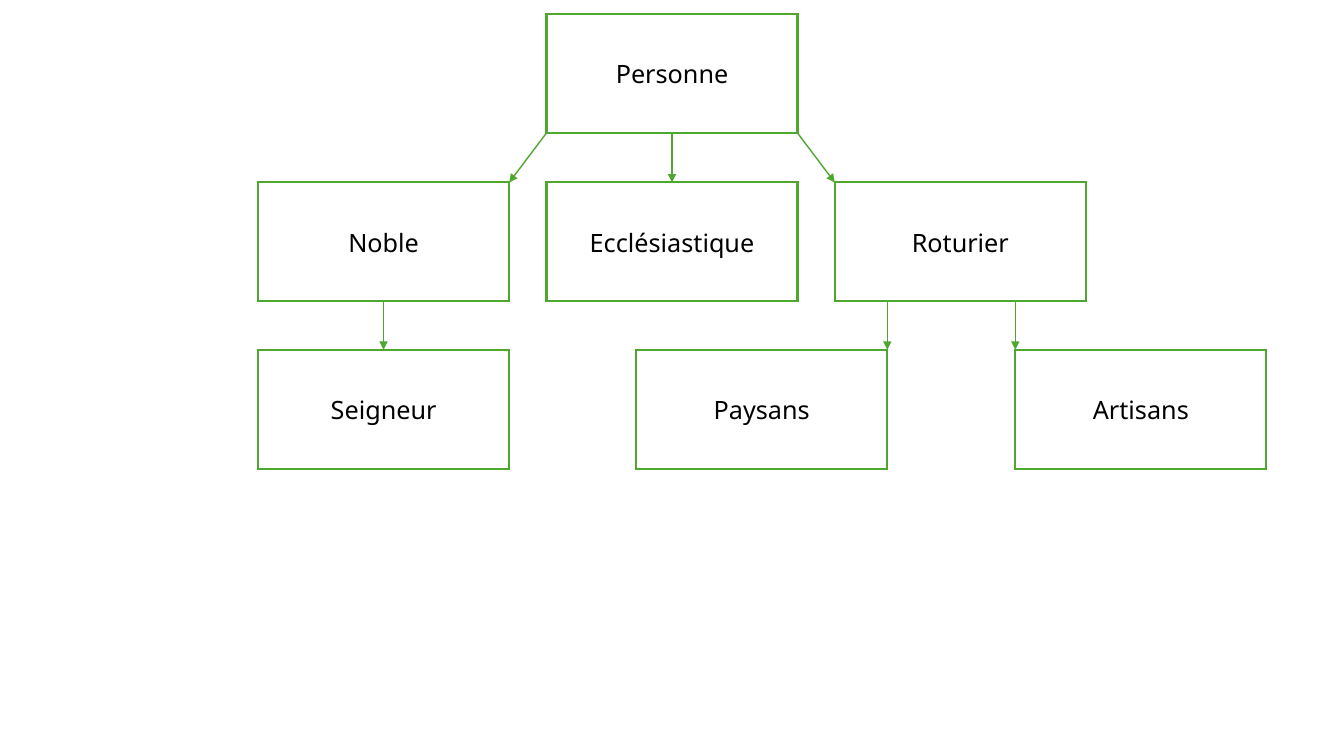
from dataclasses import dataclass

from lxml import etree
from pptx import Presentation
from pptx.dml.color import RGBColor
from pptx.enum.shapes import MSO_CONNECTOR, MSO_SHAPE
from pptx.enum.text import MSO_ANCHOR, PP_ALIGN
from pptx.oxml.ns import qn
from pptx.util import Inches, Pt

RECTANGLE = MSO_SHAPE.RECTANGLE
STRAIGHT = MSO_CONNECTOR.STRAIGHT
MIDDLE = MSO_ANCHOR.MIDDLE
CENTER = PP_ALIGN.CENTER
BLANK_LAYOUT = 6


@dataclass(frozen=True)
class Theme:
    font: str = "Noto Sans"
    text_size: float = 18
    text: RGBColor = RGBColor(0, 0, 0)
    paper: RGBColor = RGBColor(255, 255, 255)
    green: RGBColor = RGBColor(0x4E, 0xA7, 0x2E)
    border_width: float = 1.5
    arrow_width: float = 1


# Grid in inches: three rows, and columns given by their left edge
BOX_WIDTH, BOX_HEIGHT = 2.49, 1.18
ROW_TOPS = [0.14, 1.81, 3.47]
LEFT, CENTRE, RIGHT = [2.56 + column * 2.86 for column in range(3)]
PEASANT, ARTISAN = 6.31, 10.07

BOXES = [
    ("Personne", CENTRE, 0),
    ("Noble", LEFT, 1),
    ("Ecclésiastique", CENTRE, 1),
    ("Roturier", RIGHT, 1),
    ("Seigneur", LEFT, 2),
    ("Paysans", PEASANT, 2),
    ("Artisans", ARTISAN, 2),
]

# Arrows: row above, horizontal start, horizontal end
ARROWS = [
    (0, CENTRE, LEFT + BOX_WIDTH),
    (0, CENTRE + BOX_WIDTH / 2, CENTRE + BOX_WIDTH / 2),
    (0, CENTRE + BOX_WIDTH, RIGHT),
    (1, LEFT + BOX_WIDTH / 2, LEFT + BOX_WIDTH / 2),
    (1, PEASANT + BOX_WIDTH, PEASANT + BOX_WIDTH),
    (1, ARTISAN, ARTISAN),
]


class HierarchySlide:
    def __init__(self, slide, theme):
        self.slide = slide
        self.theme = theme

    def outline(self, shape, width):
        """Draw a green line with sharp corners and return its XML element."""
        shape.line.color.rgb = self.theme.green
        shape.line.width = Pt(width)
        line = shape._element.spPr.find(qn("a:ln"))
        etree.SubElement(line, qn("a:miter"), lim="800000")
        return line

    def box(self, label, left, row):
        theme = self.theme
        box = self.slide.shapes.add_shape(
            RECTANGLE, Inches(left), Inches(ROW_TOPS[row]),
            Inches(BOX_WIDTH), Inches(BOX_HEIGHT))
        box.shadow.inherit = False
        box.fill.solid()
        box.fill.fore_color.rgb = theme.paper
        self.outline(box, theme.border_width)
        box.text_frame.text = label
        box.text_frame.vertical_anchor = MIDDLE
        para = box.text_frame.paragraphs[0]
        para.alignment = CENTER
        font = para.runs[0].font
        font.name = theme.font
        font.size = Pt(theme.text_size)
        font.color.rgb = theme.text

    def arrow(self, row, start, end):
        arrow = self.slide.shapes.add_connector(
            STRAIGHT, Inches(start), Inches(ROW_TOPS[row] + BOX_HEIGHT),
            Inches(end), Inches(ROW_TOPS[row + 1]))
        line = self.outline(arrow, self.theme.arrow_width)
        # Arrowhead and no shadow
        etree.SubElement(line, qn("a:tailEnd"), type="triangle")
        etree.SubElement(arrow._element.spPr, qn("a:effectLst"))


def main():
    deck = Presentation()
    deck.slide_width = Inches(13.33)
    deck.slide_height = Inches(7.5)
    page = HierarchySlide(deck.slides.add_slide(deck.slide_layouts[BLANK_LAYOUT]), Theme())

    # Social classes
    for label, left, row in BOXES:
        page.box(label, left, row)

    # Inheritance links
    for row, start, end in ARROWS:
        page.arrow(row, start, end)

    deck.save("out.pptx")


if __name__ == "__main__":
    main()
